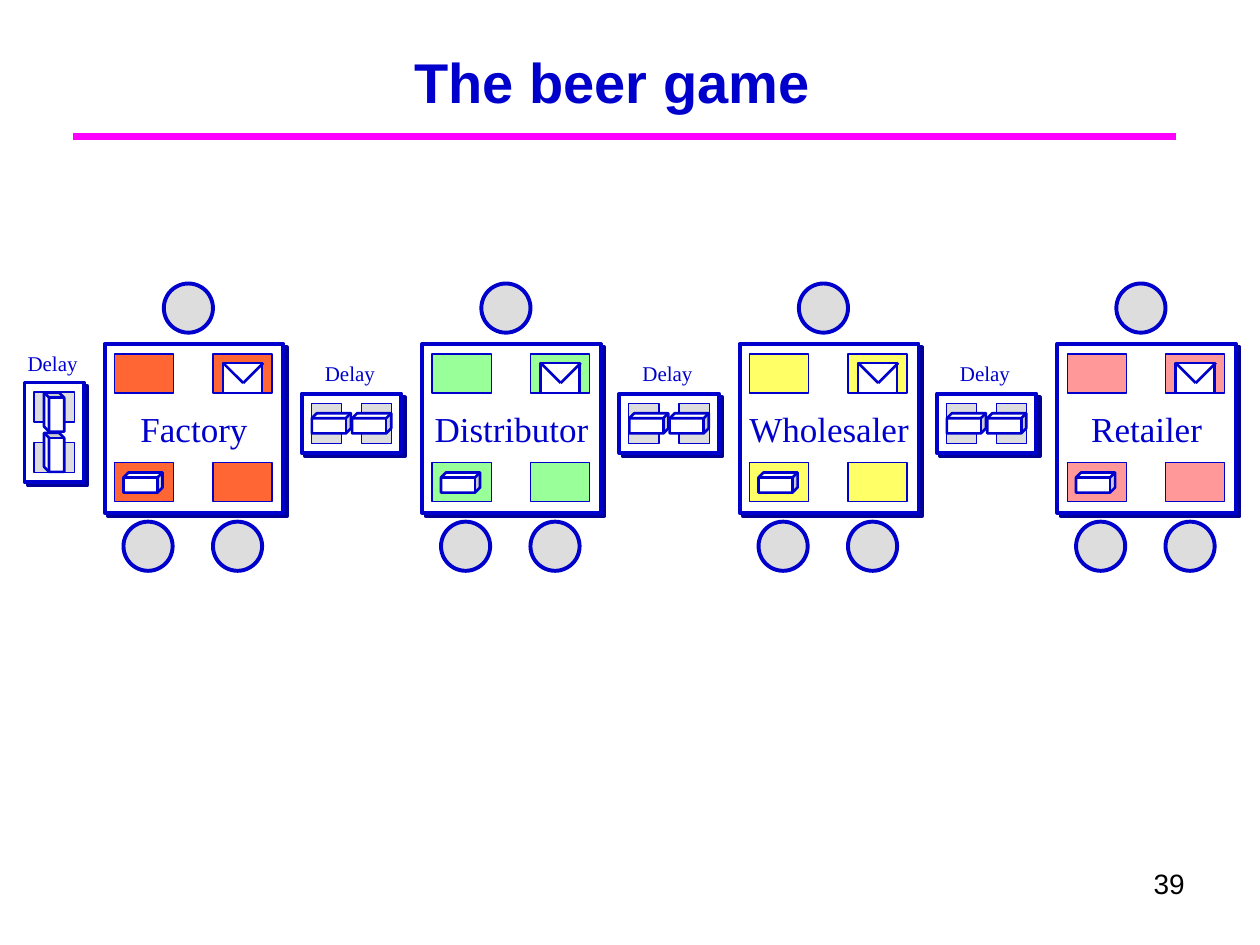
from dataclasses import dataclass
from typing import Any

import pptx
import pptx.util
from lxml import etree
from pptx.dml.color import RGBColor
from pptx.enum.shapes import MSO_CONNECTOR, MSO_SHAPE
from pptx.enum.text import MSO_ANCHOR, PP_ALIGN
from pptx.oxml.ns import qn
from pptx.util import Inches, Pt

BLUE = RGBColor(0x00, 0x00, 0xCC)
WHITE = RGBColor(0xFF, 0xFF, 0xFF)
BLACK = RGBColor(0x00, 0x00, 0x00)
GREY = RGBColor(0xDD, 0xDD, 0xDD)
MAGENTA = RGBColor(0xFF, 0x00, 0xFF)
ORANGE = RGBColor(0xFF, 0x66, 0x33)
GREEN = RGBColor(0x99, 0xFF, 0x99)
YELLOW = RGBColor(0xFF, 0xFF, 0x66)
PINK = RGBColor(0xFF, 0x99, 0x99)
SHADOW = "000099"

LABEL = {"name": "Times New Roman", "size": Pt(12), "color": BLUE}
STATION = LABEL | {"size": Pt(20)}
TITLE = {"name": "Arial", "size": Pt(32), "color": BLUE, "bold": True}
NUMBER = {"name": "Arial", "size": Pt(16), "color": BLACK}

FIRST_LEFT, PITCH = 0.83, 2.52


@dataclass
class Station:
    name: str
    color: RGBColor


@dataclass
class Delay:
    cx: float
    cy: float
    label_top: float
    upright: bool = False


STATIONS = [
    Station("Factory", ORANGE),
    Station("Distributor", GREEN),
    Station("Wholesaler", YELLOW),
    Station("Retailer", PINK),
]
DELAYS = [Delay(0.43, 3.43, 2.73, upright=True)] + [
    Delay(FIRST_LEFT + 1.96 + i * PITCH, 3.36, 2.81) for i in range(3)
]


def write(tf: Any, text: str, fmt: dict[str, Any], align: PP_ALIGN, wrap: bool = False) -> None:
    tf.word_wrap = wrap
    p = tf.paragraphs[0]
    p.alignment = align
    r = p.add_run()
    r.text = text
    for key, value in fmt.items():
        if key == "color":
            r.font.color.rgb = value
        else:
            setattr(r.font, key, value)


def add_text(shapes: Any, x: float, y: float, w: float, h: float, text: str,
             fmt: dict[str, Any], align: PP_ALIGN = PP_ALIGN.LEFT, wrap: bool = False) -> None:
    sp = shapes.add_textbox(Inches(x), Inches(y), Inches(w), Inches(h))
    write(sp.text_frame, text, fmt, align, wrap)


def add_box(shapes: Any, kind: MSO_SHAPE, x: float, y: float, w: float, h: float,
            fill: RGBColor, weight: float, rotation: float = 0) -> Any:
    sp = shapes.add_shape(kind, Inches(x), Inches(y), Inches(w), Inches(h))
    sp.shadow.inherit = False
    sp.fill.solid()
    sp.fill.fore_color.rgb = fill
    sp.line.color.rgb = BLUE
    sp.line.width = Pt(weight)
    sp.rotation = rotation
    return sp


def add_line(shapes: Any, x1: float, y1: float, x2: float, y2: float,
             color: RGBColor, weight: float) -> None:
    line = shapes.add_connector(MSO_CONNECTOR.STRAIGHT, Inches(x1), Inches(y1),
                                Inches(x2), Inches(y2))
    line.line.color.rgb = color
    line.line.width = Pt(weight)
    etree.SubElement(line._element.spPr, qn("a:effectLst"))


def cast_shadow(sp: Any) -> None:
    """Give the shape a hard shadow to the lower right, whatever its rotation."""
    effects = sp._element.spPr.find(qn("a:effectLst"))
    shadow = etree.SubElement(effects, qn("a:outerShdw"), dist=str(Pt(2.8)),
                              dir=str(45 * 60000), algn="ctr", rotWithShape="0")
    etree.SubElement(shadow, qn("a:srgbClr"), val=SHADOW)


def add_envelope(shapes: Any, x: float, y: float) -> None:
    parts = shapes.add_group_shape().shapes
    add_box(parts, MSO_SHAPE.RECTANGLE, x, y, 0.31, 0.24, WHITE, 1.5)
    add_line(parts, x, y, x + 0.16, y + 0.16, BLUE, 1.5)
    add_line(parts, x + 0.16, y + 0.16, x + 0.32, y, BLUE, 1.5)


def add_station(shapes: Any, x: float, station: Station) -> None:
    table = add_box(shapes, MSO_SHAPE.RECTANGLE, x, 2.73, 1.42, 1.34, WHITE, 2.25)
    cast_shadow(table)
    table.text_frame.vertical_anchor = MSO_ANCHOR.MIDDLE
    write(table.text_frame, station.name, STATION, PP_ALIGN.CENTER)
    for dx in (0.08, 0.86):
        for y in (2.81, 3.67):
            add_box(shapes, MSO_SHAPE.RECTANGLE, x + dx, y, 0.47, 0.31, station.color, 0.75)
    for dx, y in ((0.47, 2.25), (0.15, 4.14), (0.86, 4.14)):
        add_box(shapes, MSO_SHAPE.OVAL, x + dx, y, 0.39, 0.39, GREY, 2.25)
    add_box(shapes, MSO_SHAPE.CUBE, x + 0.15, 3.75, 0.31, 0.16, WHITE, 1.5)
    add_envelope(shapes, x + 0.94, 2.88)


def add_delay(shapes: Any, delay: Delay) -> None:
    def centred(kind: MSO_SHAPE, offset: float, w: float, h: float,
                fill: RGBColor, weight: float) -> Any:
        """Place a part at an offset along the delay's long axis."""
        dx, dy = (0, offset) if delay.upright else (offset, 0)
        return add_box(shapes, kind, delay.cx + dx - w / 2, delay.cy + dy - h / 2,
                       w, h, fill, weight, 270 if delay.upright else 0)

    cast_shadow(centred(MSO_SHAPE.RECTANGLE, 0, 0.79, 0.47, WHITE, 2.25))
    for side in (-1, 1):
        centred(MSO_SHAPE.RECTANGLE, side * 0.2, 0.24, 0.32, GREY, 0.75)
    for side in (-1, 1):
        centred(MSO_SHAPE.CUBE, side * 0.16, 0.31, 0.16, WHITE, 1.5)
    add_text(shapes, delay.cx - 0.31, delay.label_top, 0.62, 0.3, "Delay", LABEL)


def main() -> None:
    prs = pptx.Presentation()
    prs.slide_width, prs.slide_height = Inches(10), Inches(7.5)
    s = prs.slides.add_slide(prs.slide_layouts[6])
    add_line(s.shapes, 0.58, 1.08, 9.33, 1.08, MAGENTA, 4)
    for i, station in enumerate(STATIONS):
        add_station(s.shapes, FIRST_LEFT + i * PITCH, station)
    for delay in DELAYS:
        add_delay(s.shapes, delay)
    add_text(s.shapes, 7.17, 6.83, 2.33, 0.52, "39", NUMBER, PP_ALIGN.RIGHT, wrap=True)
    add_text(s.shapes, 3.19, 0.33, 3.49, 0.64, "The beer game", TITLE)
    prs.save("out.pptx")


if __name__ == "__main__":
    main()
